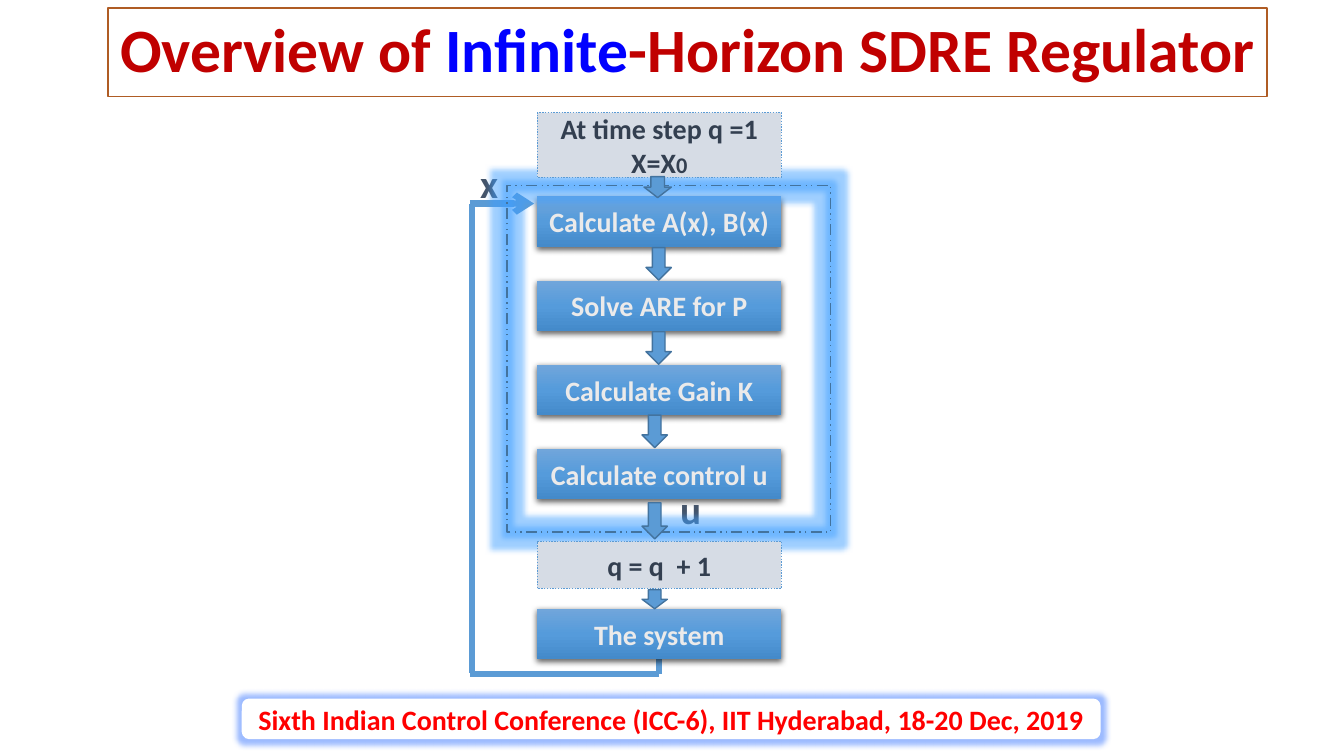
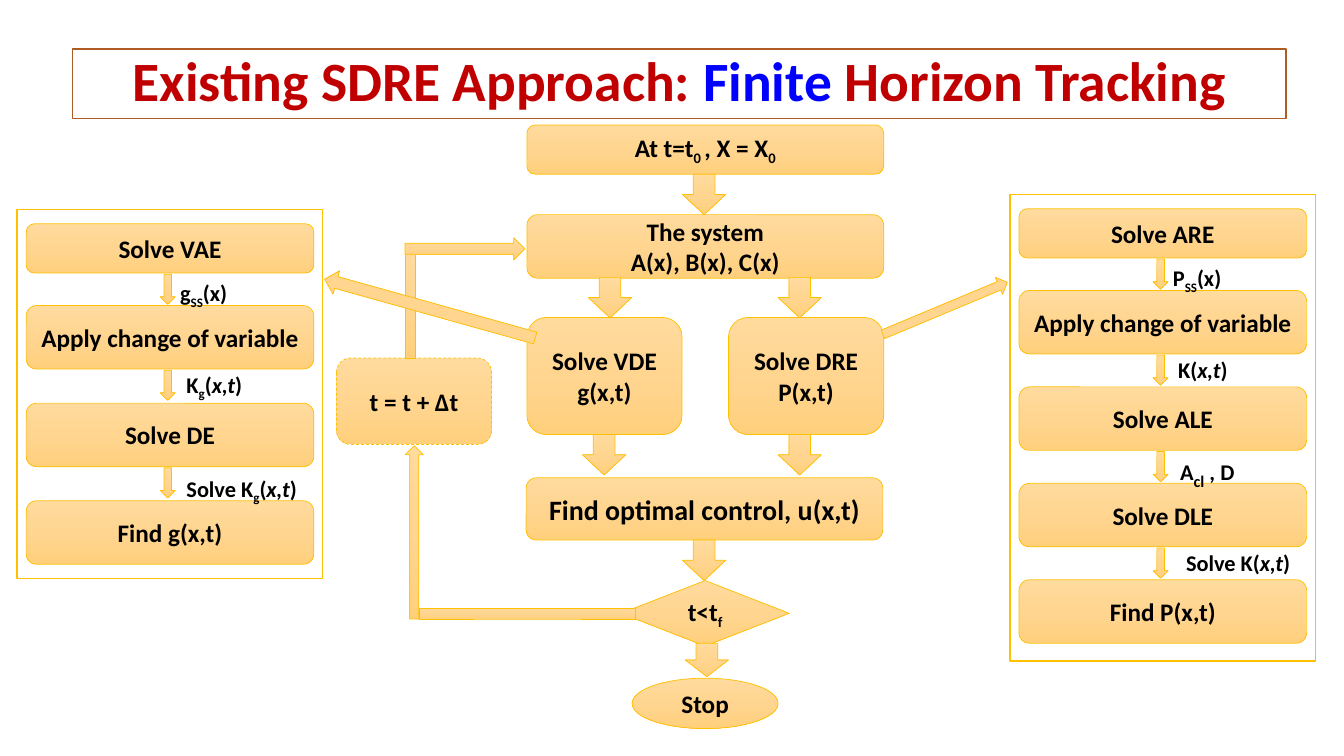
"""Builds two flowchart slides on SDRE control."""
import copy
from dataclasses import dataclass
from typing import Optional

import lxml.etree
import pptx
import pptx.dml.color
import pptx.enum.dml
import pptx.enum.shapes
import pptx.enum.text
import pptx.oxml.ns
import pptx.util

Cm = pptx.util.Cm
Pt = pptx.util.Pt
Kind = pptx.enum.shapes.MSO_SHAPE
Dash = pptx.enum.dml.MSO_LINE
Align = pptx.enum.text.PP_ALIGN
Anchor = pptx.enum.text.MSO_ANCHOR
qn = pptx.oxml.ns.qn


@dataclass(frozen=True)
class Effect:
    tag: str
    colour: str
    alpha: int
    attributes: tuple


@dataclass(frozen=True)
class Look:
    fill: tuple = ()
    line: Optional[str] = None
    width: float = 1
    dash: Optional[Dash] = None
    effect: Optional[Effect] = None


@dataclass(frozen=True)
class Type:
    size: float
    colour: str
    align: Align = Align.CENTER
    anchor: Anchor = Anchor.MIDDLE
    spacing: Optional[float] = None
    inset: float = 0.25
    effect: Optional[Effect] = None


@dataclass(frozen=True)
class Run:
    text: str
    size: Optional[float] = None
    colour: Optional[str] = None
    italic: bool = False
    lowered: bool = False


def shadow(blur, distance):
    """Describe a black shadow falling straight down."""
    return Effect("a:outerShdw", "000000", 63, (
        ("blurRad", Pt(blur)), ("dist", Pt(distance)), ("dir", 5400000),
        ("algn", "ctr"), ("rotWithShape", 0)))


def glow(colour):
    """Describe a soft halo."""
    return Effect("a:glow", colour, 50, (("rad", Pt(8)),))


class Theme:
    font = "Calibri"
    accent = "0000FF"
    blue = "5B9BD5"
    small_size = 16
    control_size = 20
    title_look = Look(("FFFFFF",), "AF5C24")
    title_size = 44
    tracking_title_size = 39.6
    title_colour = "C00000"
    step = Look(("71A6DB", "559BDB", "448ACA"), effect=shadow(4.5, 1.5))
    step_type = Type(20, "EBEAEA")
    state = Look(("D6DCE5",), blue, 1, Dash.ROUND_DOT)
    state_type = Type(20, "333F50")
    arrow = Look((blue,), "43739E")
    loop_frame = Look((), "43739E", 1, Dash.DASH_DOT_DOT, glow("3F9FFF"))
    signal_type = Type(28, "44546A", inset=0, effect=shadow(3, 1.5))
    footer = Look(("FFFFFF",), "FFFFFF", 1.5, effect=glow("3C78FF"))
    footer_type = Type(20, "FF0000")
    gold = Look(("FFDB9E", "FFD590", "FFD07C"), "FFC000", 0.5)
    gold_dashed = Look(gold.fill, "FFC000", 0.5, Dash.DASH)
    panel = Look(("FFFFFF",), "FFC000")
    gold_type = Type(18, "000000")
    label_type = Type(small_size, "000000", Align.LEFT, Anchor.TOP)


def rgb(value):
    """Turn a hex string into a colour."""
    return pptx.dml.color.RGBColor.from_string(value)


def add_effect(effects, effect):
    """Add one effect to an effect list."""
    node = lxml.etree.SubElement(effects, qn(effect.tag))
    for name, value in effect.attributes:
        node.set(name, str(value))
    colour = lxml.etree.SubElement(node, qn("a:srgbClr"), val=effect.colour)
    lxml.etree.SubElement(colour, qn("a:alpha"), val=str(effect.alpha * 1000))


def paint(shape, colours):
    """Fill a shape with nothing, one colour or a downward gradient."""
    fill = shape.fill
    if not colours:
        fill.background()
    elif len(colours) == 1:
        fill.solid()
        fill.fore_color.rgb = rgb(colours[0])
    else:
        fill.gradient()
        fill.gradient_angle = 270
        stops = shape._element.spPr.find(".//" + qn("a:gsLst"))
        middle = copy.deepcopy(stops[0])
        middle.set("pos", "50000")
        stops.insert(1, middle)
        for stop, colour in zip(fill.gradient_stops, colours):
            stop.color.rgb = rgb(colour)


def add_run(paragraph, run, style):
    """Append one formatted run."""
    piece = paragraph.add_run()
    piece.text = run.text
    font = piece.font
    font.name, font.bold, font.italic = Theme.font, True, run.italic
    font.size = Pt(run.size or style.size)
    font.color.rgb = rgb(run.colour or style.colour)
    properties = piece._r.get_or_add_rPr()
    if run.lowered:
        properties.set("baseline", "-25000")
    if style.effect:
        effects = lxml.etree.Element(qn("a:effectLst"))
        properties.find(qn("a:solidFill")).addnext(effects)
        add_effect(effects, style.effect)


def write(shape, paragraphs, style):
    """Write paragraphs, each a string or a list of runs."""
    frame = shape.text_frame
    frame.word_wrap = True
    frame.vertical_anchor = style.anchor
    frame.margin_left = frame.margin_right = Cm(style.inset)
    for index, content in enumerate(paragraphs):
        paragraph = frame.add_paragraph() if index else frame.paragraphs[0]
        paragraph.alignment = style.align
        if style.spacing:
            paragraph.line_spacing = style.spacing
        for run in [Run(content)] if isinstance(content, str) else content:
            add_run(paragraph, run, style)


def block(slide, kind, at, look, paragraphs=(), style=None, turn=0):
    """Place a preset shape with optional text."""
    shape = slide.shapes.add_shape(kind, *map(Cm, at))
    shape.rotation = turn
    shape.shadow.inherit = False
    if look.effect:
        add_effect(shape._element.spPr.find(qn("a:effectLst")), look.effect)
    paint(shape, look.fill)
    if look.line:
        shape.line.color.rgb = rgb(look.line)
        shape.line.width = Pt(look.width)
        if look.dash:
            shape.line.dash_style = look.dash
    else:
        shape.line.fill.background()
    if paragraphs:
        write(shape, paragraphs, style)


def label(slide, at, runs, style):
    """Place a free text label."""
    write(slide.shapes.add_textbox(*map(Cm, at)), [runs], style)


def feedback(slide, *ends, arrow=False):
    """Draw one straight piece of the feedback path."""
    link = slide.shapes.add_connector(
        pptx.enum.shapes.MSO_CONNECTOR.STRAIGHT, *map(Cm, ends))
    link.line.color.rgb = rgb(Theme.blue)
    link.line.width = Pt(4.5)
    properties = link._element.spPr
    if arrow:
        lxml.etree.SubElement(properties.find(qn("a:ln")), qn("a:tailEnd"), type="arrow")
    lxml.etree.SubElement(properties, qn("a:effectLst"))


def title(slide, at, size, before, accent, after):
    """Place the framed title with its accented word."""
    runs = [Run(before), Run(accent, colour=Theme.accent), Run(after)]
    style = Type(size, Theme.title_colour, spacing=0.9)
    block(slide, Kind.RECTANGLE, at, Theme.title_look, [runs], style)


def gold(slide, kind, at, *paragraphs, size=Theme.gold_type.size, turn=0, look=Theme.gold):
    """Place a golden flowchart element."""
    block(slide, kind, at, look, paragraphs, Type(size, Theme.gold_type.colour), turn)


def panel(slide, left, top, height, pitch, steps, labels):
    """Place a framed column of steps joined by labelled arrows."""
    block(slide, Kind.RECTANGLE, (left, top, 7.7, height), Theme.panel)
    for index, step in enumerate(steps):
        step_top = top + 2.42 + pitch * (index - 1) if index else top + 0.36
        step_height = 1.6 if index else 1.24
        gold(slide, Kind.ROUNDED_RECTANGLE, (left + 0.23, step_top, 7.25, step_height), step)
        if index < len(labels):
            arrow_top = step_top + step_height + 0.03
            gold(slide, Kind.DOWN_ARROW, (left + 3.61, arrow_top, 0.38, 0.76))
    for x, y, runs in labels:
        label(slide, (x, y, 3.43, 0.94), runs, Theme.label_type)


def regulator(slide):
    """Draw the infinite-horizon regulator loop."""
    feedback(slide, 16.61, 16.38, 16.61, 16.99)
    steps = ["Calculate A(x), B(x)", "Solve ARE for P", "Calculate Gain K", "Calculate control u"]
    tops = [4.95 + 2.12 * index for index in range(len(steps))] + [15.34]
    for top, step in zip(tops, steps + ["The system"]):
        block(slide, Kind.RECTANGLE, (13.54, top, 6.15, 1.27), Theme.step, [step], Theme.step_type)
    feedback(slide, 16.61, 16.99, 11.84, 16.99)
    feedback(slide, 11.89, 5.13, 11.89, 16.97)
    feedback(slide, 11.84, 5.13, 13.46, 5.13, arrow=True)
    for signal, left, top in [("u", 16.92, 12.19), ("x", 11.84, 3.99)]:
        label(slide, (left, top, 0.97, 1.24), signal, Theme.signal_type)
    block(slide, Kind.RECTANGLE, (12.78, 4.67, 8.15, 8.74), Theme.loop_frame)
    start = ["At time step q =1", [Run("X=X"), Run("0", size=Theme.small_size)]]
    for top, height, state in [(2.84, 1.63, start), (13.64, 1.19, ["q = q  + 1"])]:
        block(slide, Kind.RECTANGLE, (13.54, top, 6.15, height), Theme.state, state, Theme.state_type)
    title(slide, (2.72, 0.2, 29.21, 2.24), Theme.title_size,
          "Overview of ", "Infinite", "-Horizon SDRE Regulator")
    for left, top, width, height in [
            (16.28, 6.24, 0.64, 0.82), (16.28, 8.36, 0.64, 0.82), (16.18, 10.46, 0.64, 0.82),
            (16.23, 4.45, 0.69, 0.53), (16.18, 12.67, 0.64, 0.91), (16.18, 14.86, 0.64, 0.48)]:
        block(slide, Kind.DOWN_ARROW, (left, top, width, height), Theme.arrow)
    block(slide, Kind.FLOWCHART_ALTERNATE_PROCESS, (6.12, 17.63, 21.59, 0.97), Theme.footer,
          ["Sixth Indian Control Conference (ICC-6), IIT Hyderabad, 18-20 Dec, 2019"],
          Theme.footer_type)


def tracking(slide):
    """Draw the finite-horizon tracking flowchart."""
    rounded = Kind.ROUNDED_RECTANGLE
    gold(slide, rounded, (13.28, 3.15, 8.99, 1.24),
         [Run("At t=t"), Run("0 ", lowered=True), Run(", X = X"), Run("0", lowered=True)])
    gold(slide, rounded, (13.28, 5.41, 8.99, 1.6), "The system", "A(x), B(x), C(x)")
    gold(slide, rounded, (13.28, 8, 3.91, 2.95), "Solve VDE", "g(x,t)")
    gold(slide, rounded, (18.36, 8, 3.91, 2.95), "Solve DRE", "P(x,t)")
    gold(slide, rounded, (13.26, 12.04, 8.99, 1.57), "Find optimal control, u(x,t)",
         size=Theme.control_size)
    gold(slide, Kind.FLOWCHART_DECISION, (15.65, 14.63, 4.24, 1.65),
         [Run("t<t"), Run("f", lowered=True)])
    gold(slide, Kind.OVAL, (15.93, 17.09, 3.68, 1.27), "Stop")
    for left, top in [(17.2, 4.39), (14.83, 6.99), (19.61, 6.99),
                      (14.68, 10.95), (19.61, 10.95), (17.2, 13.61)]:
        gold(slide, Kind.DOWN_ARROW, (left, top, 1.09, 1.02))
    gold(slide, Kind.DOWN_ARROW, (17.27, 16.21, 1.09, 0.84))
    gold(slide, Kind.RECTANGLE, (10.57, 15.32, 5.44, 0.28))
    gold(slide, Kind.UP_ARROW, (10.21, 11.23, 0.46, 4.37))
    gold(slide, rounded, (8.48, 9.02, 3.91, 2.18), "t = t + ∆t", look=Theme.gold_dashed)
    gold(slide, Kind.RECTANGLE, (10.21, 6.3, 0.25, 2.72))
    gold(slide, Kind.RIGHT_ARROW, (10.21, 5.99, 3.02, 0.56))
    gold(slide, Kind.RIGHT_ARROW, (22.12, 7.54, 3.4, 0.46), turn=337.3)
    gold(slide, Kind.RIGHT_ARROW, (8.08, 7.47, 5.51, 0.61), turn=195.6)
    steady = [Run("SS", lowered=True), Run("(x)")]
    arguments = [Run("x,t", italic=True), Run(")")]
    gain = [Run("g", lowered=True), Run("("), *arguments]
    panel(slide, 25.45, 4.9, 11.76, 2.43,
          ["Solve ARE", "Apply change of variable", "Solve ALE", "Solve DLE", "Find P(x,t)"],
          [(29.31, 6.53, [Run("P"), *steady]),
           (29.44, 8.86, [Run("K("), *arguments]),
           (29.49, 11.28, [Run("A"), Run("cl", size=20, lowered=True), Run(" , D")]),
           (29.64, 13.72, [Run("Solve K("), *arguments])])
    panel(slide, 0.43, 5.28, 9.3, 2.46,
          ["Solve VAE", "Apply change of variable", "Solve DE", "Find g(x,t)"],
          [(4.29, 6.91, [Run("g"), *steady]),
           (4.45, 9.22, [Run("K"), *gain]),
           (4.45, 11.84, [Run("Solve K"), *gain])])
    title(slide, (1.83, 1.24, 30.58, 1.75), Theme.tracking_title_size,
          "Existing SDRE Approach: ", "Finite", " Horizon Tracking")


def main():
    """Build and save the presentation."""
    deck = pptx.Presentation()
    deck.slide_width, deck.slide_height = Cm(33.87), Cm(19.05)
    for draw in (regulator, tracking):
        draw(deck.slides.add_slide(deck.slide_layouts[6]))
    deck.save("out.pptx")


main()
